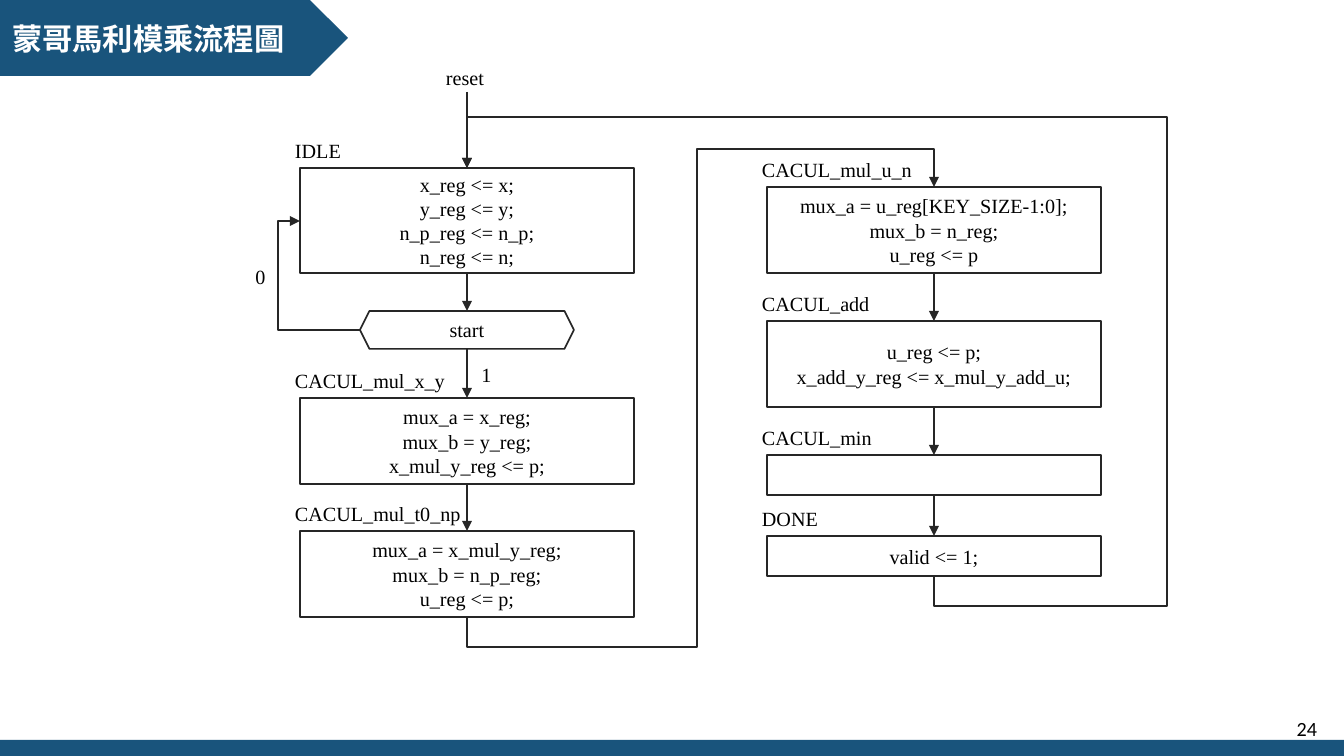
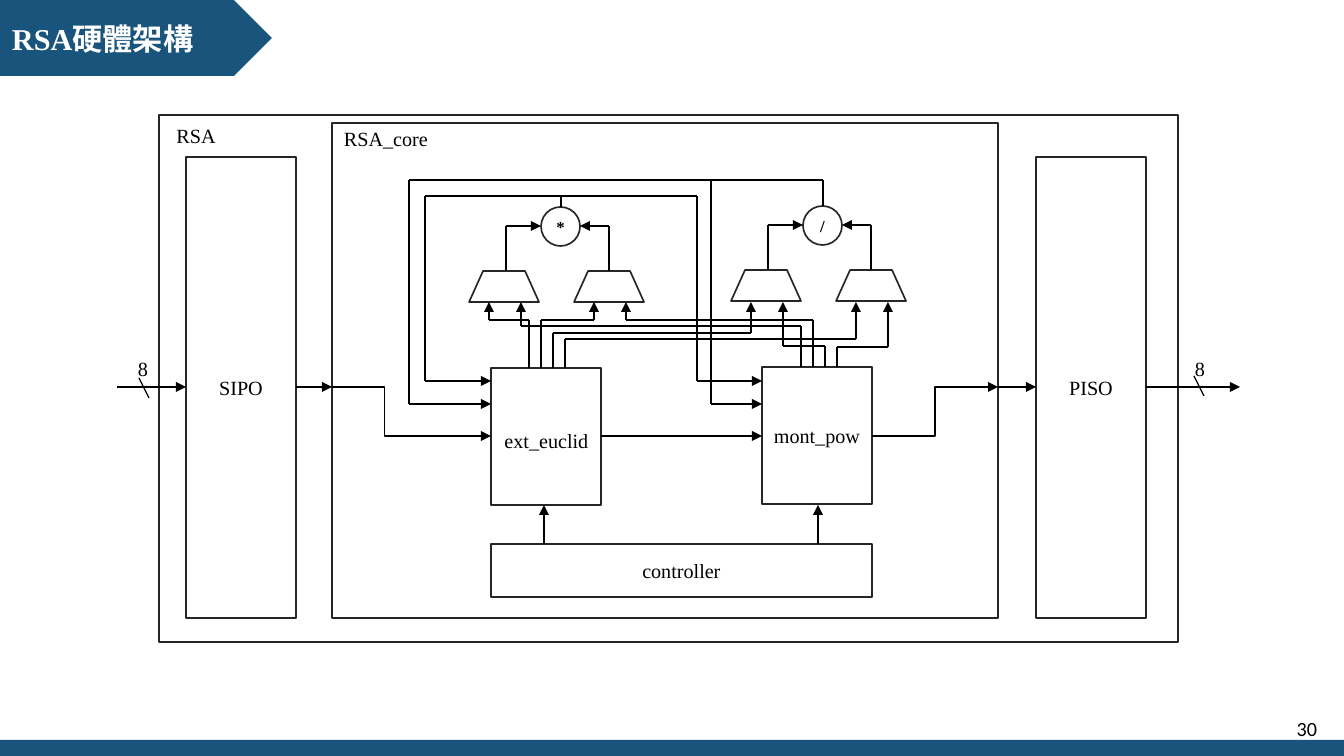
from itertools import pairwise

from lxml import etree
from pptx import Presentation
from pptx import util as u
from pptx.dml.color import RGBColor
from pptx.enum import shapes, text
from pptx.oxml.ns import qn

EMU_PER_PX = 914400 / 121
SLIDE_W, SLIDE_H = 1344, 756
HEADER_H, BAND_TOP = 76, 740

NAVY = RGBColor(0x19, 0x54, 0x7C)
INK = RGBColor(0x26, 0x26, 0x26)
BLACK = RGBColor(0, 0, 0)
WHITE = RGBColor(255, 255, 255)

SERIF, SANS = "Times New Roman", "Calibri"
LEFT, CENTER, RIGHT = text.PP_ALIGN.LEFT, text.PP_ALIGN.CENTER, text.PP_ALIGN.RIGHT
TOP, MIDDLE = text.MSO_ANCHOR.TOP, text.MSO_ANCHOR.MIDDLE
KIND = shapes.MSO_SHAPE

LABEL_H = 36
STATE_W = 334
HALF_STATE = STATE_W // 2


def px(length):
    return u.Emu(round(length * EMU_PER_PX))


def write(frame, content, *, size=12, font=SERIF, color=BLACK, bold=False,
          align=LEFT, anchor=TOP, side_margin=12):
    """Fill a text frame, one paragraph for each line of content."""
    frame.word_wrap = True
    frame.vertical_anchor = anchor
    frame.margin_left = frame.margin_right = px(side_margin)
    for number, line in enumerate(content.split("\n")):
        paragraph = frame.add_paragraph() if number else frame.paragraphs[0]
        paragraph.alignment = align
        run = paragraph.add_run()
        run.text = line
        run.font.size = u.Pt(size)
        run.font.name = font
        run.font.bold = bold
        run.font.color.rgb = color


def label(slide, content, left, top, width, height=LABEL_H, **style):
    box = slide.shapes.add_textbox(px(left), px(top), px(width), px(height))
    write(box.text_frame, content, **style)


def solid(slide, kind, left, top, width, height):
    shape = slide.shapes.add_shape(kind, px(left), px(top), px(width), px(height))
    shape.shadow.inherit = False
    shape.fill.solid()
    shape.fill.fore_color.rgb = NAVY
    shape.line.fill.background()
    return shape


def outline(slide, left, top, width, height, content="", kind=KIND.RECTANGLE, **style):
    """Draw an unfilled shape with centred text."""
    shape = slide.shapes.add_shape(kind, px(left), px(top), px(width), px(height))
    shape.shadow.inherit = False
    shape.fill.background()
    shape.line.color.rgb = INK
    shape.line.width = u.Pt(1)
    if content:
        write(shape.text_frame, content, align=CENTER, anchor=MIDDLE, side_margin=0,
              **style)
    return shape


def connect(slide, start, end, *, arrow=True, color=BLACK, weight=0.75,
            kind=shapes.MSO_CONNECTOR.STRAIGHT):
    ends = [px(value) for value in (*start, *end)]
    connector = slide.shapes.add_connector(kind, *ends)
    connector.line.color.rgb = color
    connector.line.width = u.Pt(weight)
    properties = connector.element.spPr
    if arrow:
        etree.SubElement(properties.get_or_add_ln(), qn("a:tailEnd"), type="triangle")
    etree.SubElement(properties, qn("a:effectLst"))
    return connector


def elbow(slide, start, end, bends, quarter_turns=0, **style):
    """Draw a bent arrow; bends are the positions of its inner segments,
    taken in turn along the starting axis and across it."""
    delta = [b - a for a, b in zip(start, end)]
    middle = [(a + b) / 2 for a, b in zip(start, end)]
    half_x, half_y = delta[0] / 2, delta[1] / 2
    for _ in range(quarter_turns):
        half_x, half_y = half_y, -half_x
    connector = connect(slide, (middle[0] - half_x, middle[1] - half_y),
                        (middle[0] + half_x, middle[1] + half_y),
                        kind=shapes.MSO_CONNECTOR.ELBOW, **style)
    properties = connector.element.spPr
    if quarter_turns:
        properties.find(qn("a:xfrm")).set("rot", str(quarter_turns * 5400000))
    geometry = properties.find(qn("a:prstGeom"))
    geometry.set("prst", f"bentConnector{len(bends) + 2}")
    adjustments = geometry.find(qn("a:avLst"))
    for number, bend in enumerate(bends):
        axis = (quarter_turns + number) % 2
        share = round((bend - start[axis]) / delta[axis] * 100000)
        etree.SubElement(adjustments, qn("a:gd"), name=f"adj{number + 1}",
                         fmla=f"val {share}")


def wire(slide, *points):
    """Join points by straight lines, with an arrowhead on the last one."""
    segments = list(pairwise(points))
    for number, (start, end) in enumerate(segments, 1):
        connect(slide, start, end, arrow=number == len(segments))


def add_slide(deck, title, title_width, page):
    slide = deck.slides.add_slide(deck.slide_layouts[6])
    header = solid(slide, KIND.PENTAGON, 0, 0, title_width, HEADER_H)
    write(header.text_frame, title, size=18, color=WHITE, bold=True, anchor=MIDDLE)
    solid(slide, KIND.RECTANGLE, 0, BAND_TOP, SLIDE_W, SLIDE_H - BAND_TOP)
    label(slide, page, 1016, 709, 313, 40, font=SANS, align=RIGHT, anchor=MIDDLE)
    return slide


def state(slide, name, left, top, height, code=""):
    outline(slide, left, top, STATE_W, height, code)
    label(slide, name, left - 17, top - LABEL_H, 194)


def flowchart_slide(deck):
    slide = add_slide(deck, "蒙哥馬利模乘流程圖", 348, "24")
    first_col, second_col = 300, 767
    first_mid, second_mid = first_col + HALF_STATE, second_col + HALF_STATE
    flow = dict(color=INK, weight=1)

    for name, left, top, height, code in (
        ("IDLE", first_col, 168, 105,
         "x_reg <= x;\ny_reg <= y;\nn_p_reg <= n_p;\nn_reg <= n;"),
        ("CACUL_mul_x_y", first_col, 398, 86,
         "mux_a = x_reg;\nmux_b = y_reg;\nx_mul_y_reg <= p;"),
        ("CACUL_mul_t0_np", first_col, 531, 86,
         "mux_a = x_mul_y_reg;\nmux_b = n_p_reg;\nu_reg <= p;"),
        ("CACUL_mul_u_n", second_col, 187, 86,
         "mux_a = u_reg[KEY_SIZE-1:0];\nmux_b = n_reg;\nu_reg <= p"),
        ("CACUL_add", second_col, 321, 86,
         "u_reg <= p;\nx_add_y_reg <= x_mul_y_add_u;"),
        ("CACUL_min", second_col, 455, 40, ""),
        ("DONE", second_col, 536, 40, "valid <= 1;"),
    ):
        state(slide, name, left, top, height, code)
    outline(slide, 360, 311, 214, 38, "start", KIND.HEXAGON)

    for x, top, bottom in (
        (first_mid, 92, 168), (first_mid, 273, 311),
        (first_mid, 349, 398), (first_mid, 484, 531),
        (second_mid, 273, 321), (second_mid, 407, 455), (second_mid, 495, 536),
    ):
        connect(slide, (x, top), (x, bottom), **flow)

    elbow(slide, (360, 330), (first_col, 221), [278], quarter_turns=2, **flow)
    elbow(slide, (first_mid, 617), (second_mid, 187), [647, 697, 149],
          quarter_turns=1, **flow)
    elbow(slide, (second_mid, 576), (first_mid, 168), [606, 1167, 117],
          quarter_turns=1, **flow)

    label(slide, "reset", 434, 59, 69)
    label(slide, "1", 469, 356, 35, align=CENTER)
    label(slide, "0", 243, 258, 35, align=CENTER)


def arithmetic_unit(slide, operator, left, top):
    """Draw an operator fed by two multiplexers."""
    circle_left, circle_size = left + 72, 39
    mux_top, level = top + 64, top + 19
    outline(slide, circle_left, top, circle_size, circle_size, operator, KIND.OVAL,
            size=10, bold=True)
    for mux_left, wire_x, circle_edge in (
        (left, left + 37, circle_left),
        (left + 105, left + 140, circle_left + circle_size),
    ):
        mux = outline(slide, mux_left, mux_top, 70, 31,
                      kind=KIND.FLOWCHART_MANUAL_OPERATION)
        mux.rotation = 180
        wire(slide, (wire_x, mux_top), (wire_x, level), (circle_edge, level))


def architecture_slide(deck):
    slide = add_slide(deck, "RSA硬體架構", 272, "30")
    axis, core_axis = 387, 436
    euclid_left, pow_left, block_w = 491, 762, 110

    outline(slide, 159, 115, 1019, 527)
    label(slide, "RSA", 152, 117, 88, align=CENTER)
    outline(slide, 186, 157, block_w, 461, "SIPO")
    outline(slide, 1036, 157, block_w, 461, "PISO")
    outline(slide, 332, 123, 666, 495)
    label(slide, "RSA_core", 328, 120, 116, align=CENTER)

    outline(slide, euclid_left, 368, block_w, 137)
    label(slide, "ext_euclid", 465, 422, 163, align=CENTER)
    outline(slide, pow_left, 367, block_w, 137, "mont_pow")
    outline(slide, euclid_left, 544, 381, 53, "controller")

    for start, end in ((117, 186), (296, 332), (998, 1036), (1146, 1240)):
        wire(slide, (start, axis), (end, axis))
    for x, y, label_left in ((139, 378, 99), (1194, 376, 1156)):
        connect(slide, (x, y), (x + 10, y + 20), arrow=False)
        label(slide, "8", label_left, 350, 88, align=CENTER)
    elbow(slide, (332, axis), (euclid_left, core_axis), [385])
    elbow(slide, (pow_left + block_w, core_axis), (998, axis), [935])
    wire(slide, (euclid_left + block_w, core_axis), (pow_left, core_axis))
    for x in (544, 818):
        wire(slide, (x, 544), (x, 505))

    unit_lefts = (469, 731)
    for operator, left, top in zip("*/", unit_lefts, (207, 206)):
        arithmetic_unit(slide, operator, left, top)

    mux_lefts = [left + shift for left in unit_lefts for shift in (0, 105)]
    for first_tap, source_top, input_shift, levels in (
        (529, 368, 20, (320, 320, 333, 339)),
        (801, 367, 52, (326, 320, 346, 347)),
    ):
        for number, (mux_left, level) in enumerate(zip(mux_lefts, levels)):
            tap, target = first_tap + 12 * number, mux_left + input_shift
            wire(slide, (tap, source_top), (tap, level), (target, level), (target, 302))

    for output_x, output_top, bus, left_x, right_x, input_y in (
        (561, 207, 196, 425, 697, 381),
        (823, 206, 180, 409, 711, 404),
    ):
        wire(slide, (output_x, output_top), (output_x, bus), (left_x, bus),
             (left_x, input_y), (euclid_left, input_y))
        if right_x > output_x:
            connect(slide, (output_x, bus), (right_x, bus), arrow=False)
        wire(slide, (right_x, bus), (right_x, input_y), (pow_left, input_y))


def main():
    deck = Presentation()
    deck.slide_width, deck.slide_height = px(SLIDE_W), px(SLIDE_H)
    flowchart_slide(deck)
    architecture_slide(deck)
    deck.save("out.pptx")


if __name__ == "__main__":
    main()
